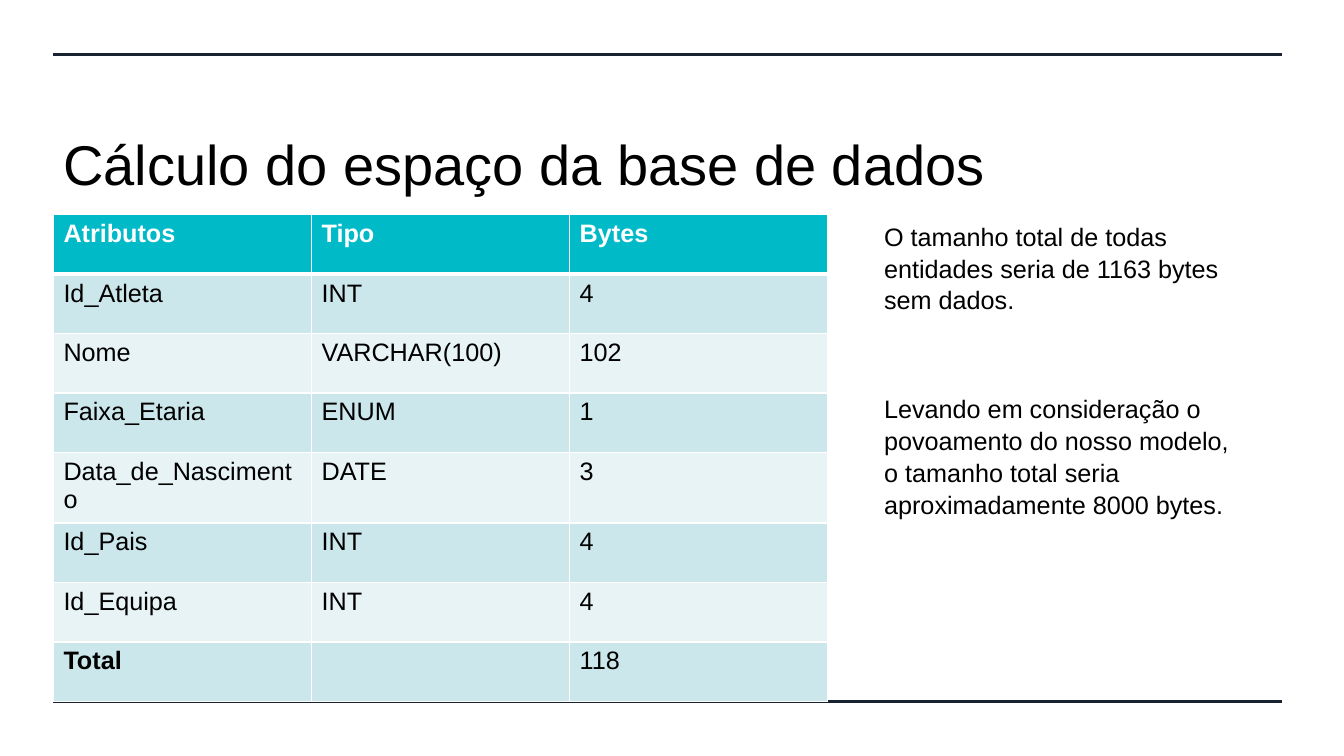
import lxml.etree
import pptx
import pptx.dml.color
import pptx.enum.shapes
import pptx.enum.text
import pptx.oxml.ns
import pptx.util

RGB = pptx.dml.color.RGBColor
BLACK = RGB(0x00, 0x00, 0x00)
WHITE = RGB(0xFF, 0xFF, 0xFF)
NAVY = RGB(0x18, 0x22, 0x30)
TEAL = RGB(0x00, 0xBA, 0xC8)
BAND_DARK = RGB(0xCC, 0xE7, 0xEB)
BAND_LIGHT = RGB(0xE7, 0xF3, 0xF5)

ATTRIBUTES = [
    ("Atributos", "Tipo", "Bytes"),
    ("Id_Atleta", "INT", "4"),
    ("Nome", "VARCHAR(100)", "102"),
    ("Faixa_Etaria", "ENUM", "1"),
    ("Data_de_Nascimento", "DATE", "3"),
    ("Id_Pais", "INT", "4"),
    ("Id_Equipa", "INT", "4"),
    ("Total", "", "118"),
]


def px(length):
    return pptx.util.Emu(length * 9144)


class SlideBuilder:
    font = "Arial"
    body_size = 18
    line_spacing = 1.05

    def __init__(self, presentation):
        self.slide = presentation.slides.add_slide(presentation.slide_layouts[6])

    def add_run(self, paragraph, text, size, color, bold=False):
        run = paragraph.add_run()
        run.text = text
        run.font.name = self.font
        run.font.size = pptx.util.Pt(size)
        run.font.bold = bold
        run.font.color.rgb = color

    def rule(self, left, right, y):
        line = self.slide.shapes.add_connector(
            pptx.enum.shapes.MSO_CONNECTOR.STRAIGHT, px(left), px(y), px(right), px(y))
        line.line.color.rgb = NAVY
        line.line.width = pptx.util.Pt(2.25)
        lxml.etree.SubElement(line._element.spPr, pptx.oxml.ns.qn("a:effectLst"))

    def text(self, left, top, width, height, wording, size=body_size,
             anchor=pptx.enum.text.MSO_ANCHOR.TOP):
        box = self.slide.shapes.add_textbox(px(left), px(top), px(width), px(height))
        frame = box.text_frame
        frame.word_wrap = True
        frame.vertical_anchor = anchor
        paragraph = frame.paragraphs[0]
        paragraph.line_spacing = self.line_spacing
        self.add_run(paragraph, wording, size, BLACK)

    def border(self, cell, side, points):
        qn = pptx.oxml.ns.qn
        edge = lxml.etree.SubElement(
            cell._tc.get_or_add_tcPr(), qn(f"a:ln{side}"), w=str(pptx.util.Pt(points)))
        fill = lxml.etree.SubElement(edge, qn("a:solidFill"))
        lxml.etree.SubElement(fill, qn("a:srgbClr"), val=str(WHITE))

    def table(self, left, top, column_width, row_height, rows):
        columns = len(rows[0])
        table = self.slide.shapes.add_table(
            len(rows), columns, px(left), px(top),
            px(column_width * columns), px(row_height * len(rows))).table
        table.horz_banding = False
        for column in table.columns:
            column.width = px(column_width)
        for r, values in enumerate(rows):
            table.rows[r].height = px(row_height)
            header = r == 0
            band = TEAL if header else (BAND_LIGHT, BAND_DARK)[r % 2]
            for c, value in enumerate(values):
                cell = table.cell(r, c)
                for side in "LRTB":
                    under_header = (r, side) in ((0, "B"), (1, "T"))
                    self.border(cell, side, 3 if under_header else 1)
                cell.fill.solid()
                cell.fill.fore_color.rgb = band
                if value:
                    self.add_run(cell.text_frame.paragraphs[0], value, self.body_size,
                                 WHITE if header else BLACK, header or value == "Total")


def main():
    presentation = pptx.Presentation()
    presentation.slide_width = px(1333)
    presentation.slide_height = px(750)
    builder = SlideBuilder(presentation)
    for y in (54, 696):
        builder.rule(53, 1272, y)
    builder.text(53, 107, 1101, 106, "Cálculo do espaço da base de dados", 40,
                 pptx.enum.text.MSO_ANCHOR.MIDDLE)
    builder.table(53, 213, 256, 59, ATTRIBUTES)
    builder.text(867, 213, 390, 101,
                 "O tamanho total de todas entidades seria de 1163 bytes sem dados.")
    builder.text(867, 384, 379, 131,
                 "Levando em consideração o povoamento do nosso modelo, "
                 "o tamanho total seria aproximadamente 8000 bytes.")
    presentation.save("out.pptx")


if __name__ == "__main__":
    main()
